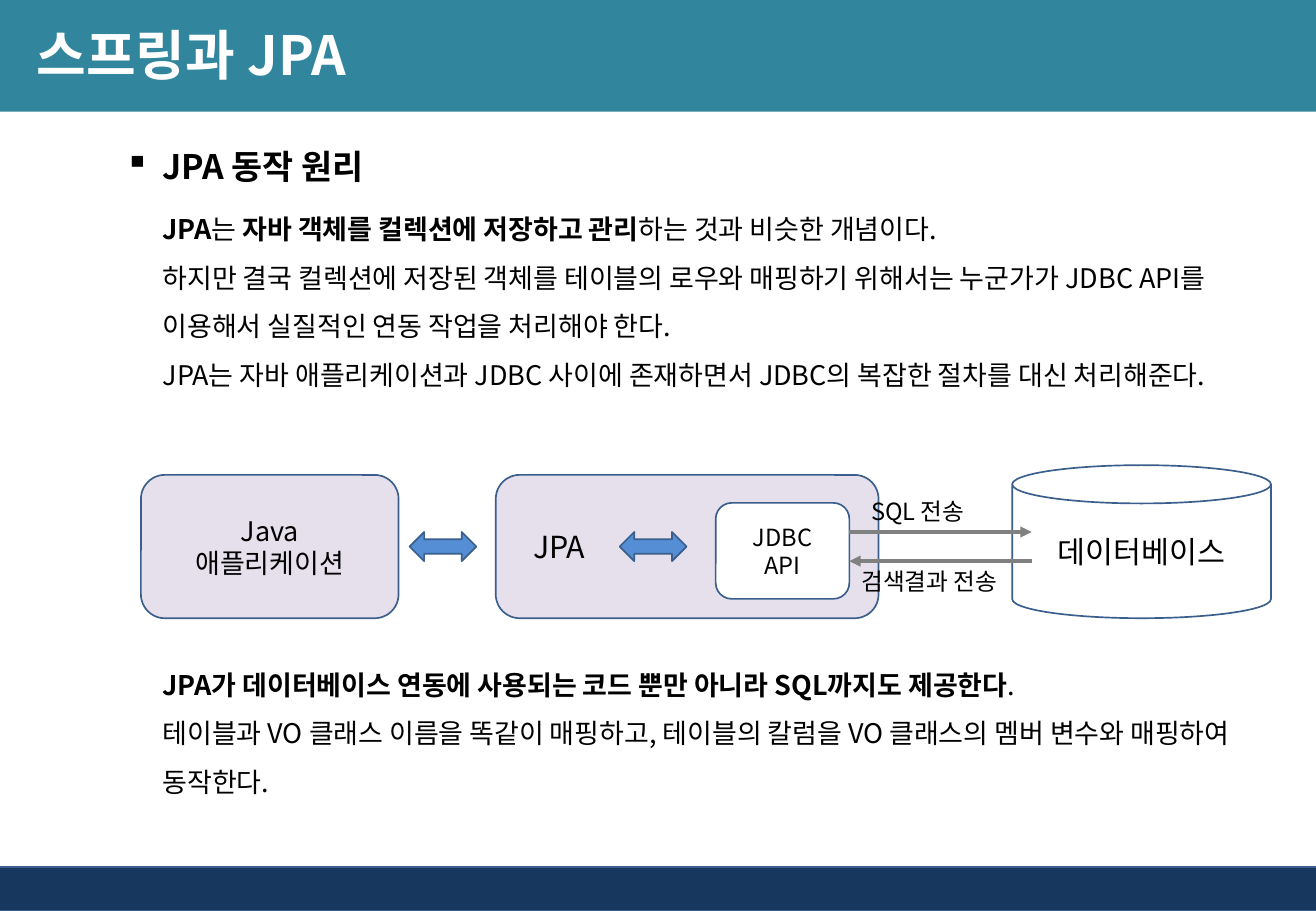
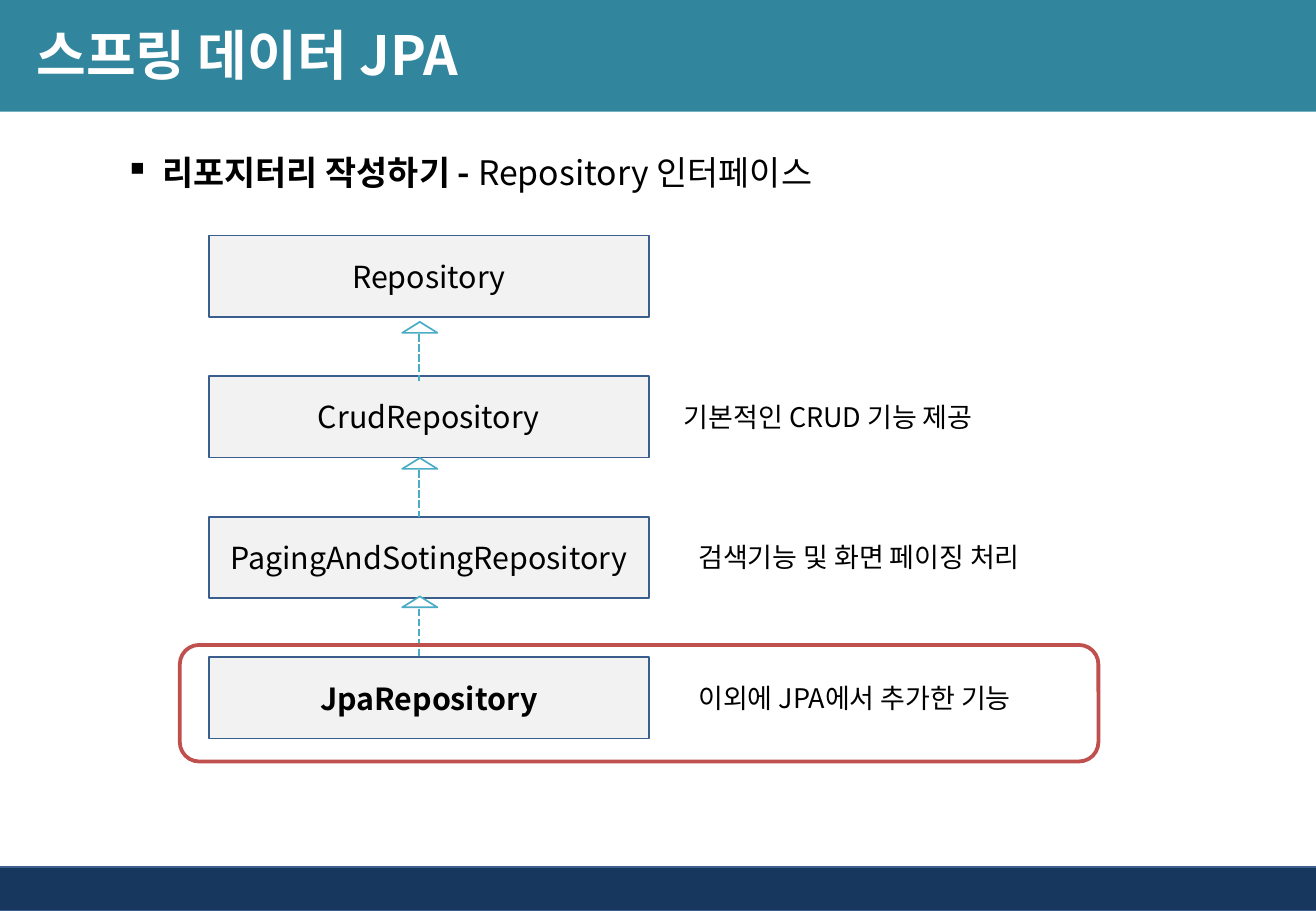
from lxml import etree
from pptx import Presentation
from pptx.dml.color import RGBColor
from pptx.enum.dml import MSO_LINE
from pptx.enum.shapes import MSO_CONNECTOR, MSO_SHAPE
from pptx.enum.text import MSO_ANCHOR, PP_ALIGN
from pptx.oxml.ns import qn
from pptx.util import Inches, Pt

RECT, ROUND, CAN = MSO_SHAPE.RECTANGLE, MSO_SHAPE.ROUNDED_RECTANGLE, MSO_SHAPE.CAN
TRIANGLE, DOUBLE_ARROW = MSO_SHAPE.ISOSCELES_TRIANGLE, MSO_SHAPE.LEFT_RIGHT_ARROW
STRAIGHT, DASH = MSO_CONNECTOR.STRAIGHT, MSO_LINE.SQUARE_DOT
LEFT, CENTER = PP_ALIGN.LEFT, PP_ALIGN.CENTER
TOP, MIDDLE = MSO_ANCHOR.TOP, MSO_ANCHOR.MIDDLE

FONT = "Noto Sans CJK KR"
COLORS = {
    "band": "31859C", "footer": "17375E", "outline": "3A5F8C", "lilac": "E6E0EC",
    "arrow": "558ED5", "gray": "808080", "box": "F2F2F2", "teal": "4BACC6",
    "red": "C0504D", "white": "FFFFFF", "black": "000000",
}
WIDTH, HEIGHT = 10.83, 7.5

INTRO = [
    [("JPA", True), ("는 ", False), ("자바 객체를 컬렉션에 저장하고 관리", True),
     ("하는 것과 비슷한 개념이다.", False)],
    [("하지만 결국 컬렉션에 저장된 객체를 테이블의 로우와 매핑하기 위해서는 누군가가 "
      "JDBC API를 이용해서 실질적인 연동 작업을 처리해야 한다.", False)],
    [("JPA는 자바 애플리케이션과 JDBC 사이에 존재하면서 "
      "JDBC의 복잡한 절차를 대신 처리해준다.", False)],
]
SUMMARY = [
    [("JPA가 데이터베이스 연동에 사용되는 코드 뿐만 아니라 SQL까지도 제공한다", True), (".", False)],
    [("테이블과 VO 클래스 이름을 똑같이 매핑하고, 테이블의 칼럼을 VO 클래스의 "
      "멤버 변수와 매핑하여 동작한다.", False)],
]
NODES = [
    (ROUND, (1.16, 3.91, 2.12, 1.18), "lilac", ["Java", "애플리케이션"], {"size": 16}),
    (ROUND, (4.08, 3.91, 3.15, 1.18), "lilac", ["JPA"], {"size": 18, "align": LEFT, "inset": 0.25}),
    (CAN, (8.33, 3.83, 2.13, 1.26), None, ["데이터베이스"], {"size": 18}),
    (ROUND, (5.89, 4.14, 1.1, 0.79), "white", ["JDBC", "API"], {"size": 14}),
]
MESSAGES = [
    ((6.99, 4.38), (8.49, 4.38), "SQL 전송", (7.07, 4.04, 1.18, 0.34)),
    ((8.49, 4.62), (6.99, 4.62), "검색결과 전송", (6.99, 4.62, 1.57, 0.34)),
]
EXCHANGE_LEFTS = [5.1, 3.37]

REPOSITORIES = [
    ("Repository", False, None, None),
    ("CrudRepository", False, "기본적인 CRUD 기능 제공", 5.53),
    ("PagingAndSotingRepository", False, "검색기능 및 화면 페이징 처리", 5.65),
    ("JpaRepository", True, "이외에 JPA에서 추가한 기능", 5.65),
]
REPO_TOP, REPO_PITCH = 1.94, 1.157
INHERIT_TOPS = [2.65, 3.77, 4.91]


def rgb(name):
    return RGBColor.from_string(COLORS[name])


def box(at):
    return [Inches(v) for v in at]


def write(sp, paragraphs, size, align=LEFT, anchor=TOP, color="black",
          inset=0.1, spacing=None, bullet=None):
    tf = sp.text_frame
    frame = {"word_wrap": True, "vertical_anchor": anchor, "margin_left": Inches(inset)}
    for key, value in frame.items():
        setattr(tf, key, value)
    for i, runs in enumerate(paragraphs):
        p = tf.add_paragraph() if i else tf.paragraphs[0]
        p.alignment = align
        if spacing:
            p.line_spacing = spacing
        if bullet:
            pPr = p._p.get_or_add_pPr()
            pPr.set("marL", str(Inches(0.31)))
            pPr.set("indent", str(-Inches(0.31)))
            etree.SubElement(pPr, qn("a:buChar")).set("char", bullet)
        for text, bold in [(runs, False)] if isinstance(runs, str) else runs:
            r = p.add_run()
            r.text = text
            for key, value in {"size": Pt(size), "bold": bold, "name": FONT}.items():
                setattr(r.font, key, value)
            r.font.color.rgb = rgb(color)
            etree.SubElement(r._r.get_or_add_rPr(), qn("a:ea")).set("typeface", FONT)


def add_text(s, at, paragraphs, size, **fmt):
    write(s.shapes.add_textbox(*box(at)), paragraphs, size, **fmt)


def add_box(s, kind, at, fill=None, line="outline", width=1):
    sp = s.shapes.add_shape(kind, *box(at))
    sp.shadow.inherit = False
    if fill:
        sp.fill.solid()
        sp.fill.fore_color.rgb = rgb(fill)
    else:
        sp.fill.background()
    if line:
        sp.line.color.rgb = rgb(line)
        sp.line.width = Pt(width)
    else:
        sp.line.fill.background()
    return sp


def add_line(s, start, end, color, width, dash=None, arrow=False):
    c = s.shapes.add_connector(STRAIGHT, *box(start + end))
    c.line.color.rgb = rgb(color)
    c.line.width = Pt(width)
    if dash:
        c.line.dash_style = dash
    if arrow:
        etree.SubElement(c.line._get_or_add_ln(), qn("a:tailEnd")).set("type", "triangle")
    etree.SubElement(c._element.spPr, qn("a:effectLst"))


def add_slide(prs, title, heading, heading_top):
    s = prs.slides.add_slide(prs.slide_layouts[6])
    add_box(s, RECT, (-0.04, 7.14, 10.88, 0.36), "footer")
    add_box(s, RECT, (0, 0, WIDTH, 0.92), "band", None)
    add_text(s, (0, -0.03, 8.74, 0.94), [[(title, True)]], 32,
             anchor=MIDDLE, color="white", inset=0.3)
    add_text(s, (0.93, heading_top, 7.64, 0.44), [heading], 20, bullet="▪")
    return s


def build_principle(prs):
    s = add_slide(prs, "스프링과 JPA", [("JPA 동작 원리", True)], 1.15)
    add_text(s, (1.24, 1.57, 9.25, 2.12), INTRO, 16, spacing=1.5)
    for kind, at, fill, lines, fmt in NODES:
        write(add_box(s, kind, at, fill), lines, **{"align": CENTER, "anchor": MIDDLE, **fmt})
    for start, end, label, at in MESSAGES:
        add_line(s, start, end, "gray", 2.25, arrow=True)
        add_text(s, at, [label], 14)
    for left in EXCHANGE_LEFTS:
        add_box(s, DOUBLE_ARROW, (left, 4.38, 0.55, 0.24), "arrow")
    add_text(s, (1.24, 5.32, 9.21, 1.31), SUMMARY, 16, spacing=1.5)


def build_repositories(prs):
    s = add_slide(prs, "스프링 데이터 JPA",
                  [("리포지터리 작성하기 - ", True), ("Repository 인터페이스", False)], 1.2)
    for i, (name, bold, note, note_left) in enumerate(REPOSITORIES):
        top = REPO_TOP + i * REPO_PITCH
        sp = add_box(s, RECT, (1.72, top, 3.62, 0.67), "box")
        write(sp, [[(name, bold)]], 18, align=CENTER, anchor=MIDDLE)
        if note:
            add_text(s, (note_left, top + 0.15, 3.23, 0.37), [note], 16)
    for top in INHERIT_TOPS:
        group = s.shapes.add_group_shape()
        add_box(group, TRIANGLE, (3.31, top, 0.29, 0.09), "white", "teal")
        add_line(group, (3.45, top + 0.1), (3.45, top + 0.49), "teal", 1.5, dash=DASH)
    add_box(s, ROUND, (1.48, 5.31, 7.56, 0.96), None, "red", 2.25)


def main():
    prs = Presentation()
    prs.slide_width, prs.slide_height = Inches(WIDTH), Inches(HEIGHT)
    build_principle(prs)
    build_repositories(prs)
    prs.save("out.pptx")


if __name__ == "__main__":
    main()
